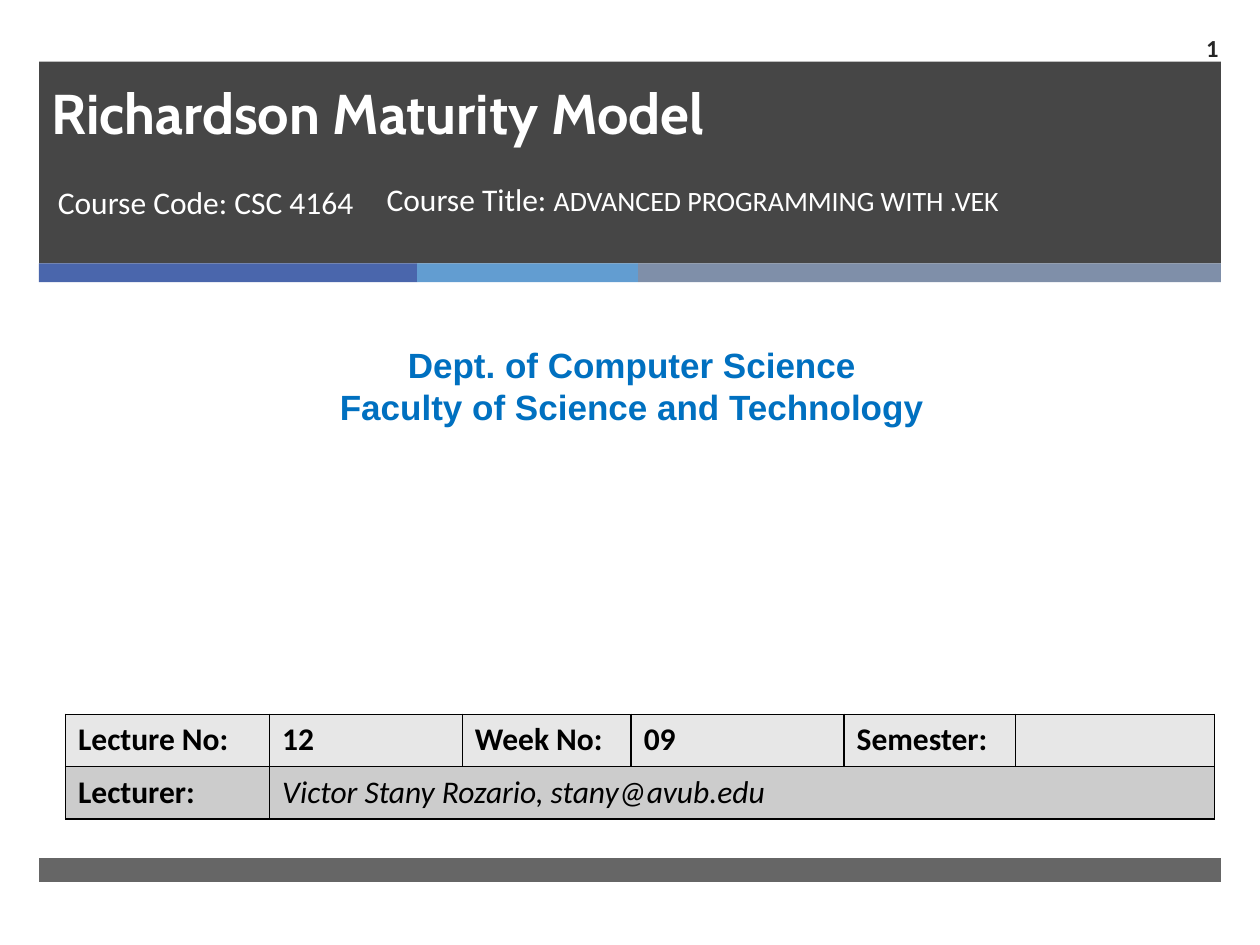
import pptx
import pptx.util
import pptx.dml.color
import pptx.enum.shapes
import pptx.enum.text
import pptx.oxml
import pptx.oxml.ns
import lxml.etree

# The slide is a grid of 10 columns by 7.5 rows
SLIDE_WIDTH, SLIDE_HEIGHT = pptx.util.Inches(10), pptx.util.Inches(7.5)
COLUMN, ROW = SLIDE_WIDTH / 10, SLIDE_HEIGHT / 7.5
ALIGN = pptx.enum.text.PP_ALIGN
ANCHOR = pptx.enum.text.MSO_ANCHOR
DARK, WHITE, BLACK = "262626", "FFFFFF", "000000"


def color(hex_value):
    return pptx.dml.color.RGBColor.from_string(hex_value)


def place(left, top, width, height):
    return [round(left * COLUMN), round(top * ROW),
            round(width * COLUMN), round(height * ROW)]


def child(parent, tag, **attributes):
    element = lxml.etree.SubElement(parent, pptx.oxml.ns.qn(tag))
    for key, value in attributes.items():
        element.set(key, str(value))
    return element


def add_bar(slide, box, fill, opacity=100):
    bar = slide.shapes.add_shape(
        pptx.enum.shapes.MSO_SHAPE.RECTANGLE, *place(*box))
    bar.shadow.inherit = False
    bar.fill.solid()
    bar.fill.fore_color.rgb = color(fill)
    bar.line.fill.background()
    if opacity < 100:
        solid = bar.fill._xPr.find(pptx.oxml.ns.qn("a:solidFill"))
        child(solid[0], "a:alpha", val=opacity * 1000)


def add_run(paragraph, text, hex_value, **formats):
    run = paragraph.add_run()
    run.text = text
    run.font.color.rgb = color(hex_value)
    for key, value in formats.items():
        setattr(run.font, key, pptx.util.Pt(value) if key == "size" else value)


def add_text(slide, box, lines, hex_value, align=ALIGN.LEFT, **frame_formats):
    """Each line is a list of (text, font formats) runs."""
    frame = slide.shapes.add_textbox(*place(*box)).text_frame
    frame.word_wrap = True
    for key, value in frame_formats.items():
        setattr(frame, key, value)
    for index, runs in enumerate(lines):
        paragraph = frame.add_paragraph() if index else frame.paragraphs[0]
        paragraph.alignment = align
        for text, formats in runs:
            add_run(paragraph, text, hex_value, **formats)


def build_header(slide, left, top, width, height):
    stripe = 0.15
    add_bar(slide, (left, top, width, height - stripe), DARK, 85)

    # Three-colour stripe along the foot of the header
    stripe_left = left
    for share, fill in ((0.32, "4A66AC"), (0.187, "629DD1"), (0.493, "7F8FA9")):
        add_bar(slide, (stripe_left, top + height - stripe, share * width, stripe), fill)
        stripe_left += share * width

    # Lecture title and course details
    body = dict(size=18, name="Calibri")
    add_text(slide, (left, top + 0.16, 8.69, 0.56),
             [[("Richardson Maturity Model", dict(size=32, name="Cabin", bold=True))]],
             WHITE, vertical_anchor=ANCHOR.BOTTOM)
    add_text(slide, (left, top + 0.91, 2.66, 0.77),
             [[("Course Code: CSC 4164", body)]], WHITE,
             margin_left=pptx.util.Inches(0.15), margin_right=0)
    add_text(slide, (left + 2.66, top + 0.89, 5.22, 0.77),
             [[("Course Title: ", body),
               ("ADVANCED PROGRAMMING WITH .VEK", dict(body, size=16))]], WHITE)


def build_department(slide, *box):
    heading = dict(size=20, name="Arial", bold=True)
    add_text(slide, box,
             [[("Dept. of Computer Science", heading)],
              [("Faculty of Science and Technology", heading)]],
             "0070C0", ALIGN.CENTER)


def add_borders(cell):
    properties = cell._tc.get_or_add_tcPr()
    for index, side in enumerate(("a:lnL", "a:lnR", "a:lnT", "a:lnB")):
        line = pptx.oxml.parse_xml(
            f'<{side} {pptx.oxml.ns.nsdecls("a")} w="12700"><a:solidFill>'
            f'<a:srgbClr val="{BLACK}"/></a:solidFill></{side}>')
        properties.insert(index, line)


def build_lecture_table(slide, left, top, width, height):
    lecture_rows = (
        ("E7E7E7", ("Lecture No:", "12", "Week No:", "09", "Semester:", "")),
        ("CCCCCC", ("Lecturer:", "Victor Stany Rozario, stany@avub.edu", "", "", "", "")),
    )
    column_widths = (1.62, 1.53, 1.34, 1.69, 1.36, 1.58)
    table = slide.shapes.add_table(
        len(lecture_rows), len(column_widths), *place(left, top, width, height)).table
    for column, share in zip(table.columns, column_widths):
        column.width = round(share * COLUMN)

    for row, (fill, texts) in enumerate(lecture_rows):
        for column, text in enumerate(texts):
            cell = table.cell(row, column)
            cell.fill.solid()
            cell.fill.fore_color.rgb = color(fill)
            add_borders(cell)
            is_lecturer = (row, column) == (1, 1)
            if text:
                add_run(cell.text_frame.paragraphs[0], text, BLACK, size=18,
                        name="Calibri", bold=not is_lecturer, italic=is_lecturer)
    table.cell(1, 1).merge(table.cell(1, 5))


def build_page_number(slide, *box):
    add_text(slide, box, [[("1", dict(size=14, name="Calibri", bold=True))]],
             DARK, ALIGN.RIGHT, vertical_anchor=ANCHOR.MIDDLE)


def main():
    deck = pptx.Presentation()
    deck.slide_width, deck.slide_height = SLIDE_WIDTH, SLIDE_HEIGHT
    slide = deck.slides.add_slide(deck.slide_layouts[6])

    build_header(slide, 0.31, 0.49, 9.38, 1.75)
    add_bar(slide, (0.31, 6.81, 9.38, 0.19), DARK, 70)  # Footer
    build_department(slide, 0.08, 2.68, 9.87, 0.77)
    build_lecture_table(slide, 0.52, 5.67, 9.12, 0.83)
    build_page_number(slide, 9.08, 0.18, 0.69, 0.39)

    deck.save("out.pptx")


if __name__ == "__main__":
    main()
